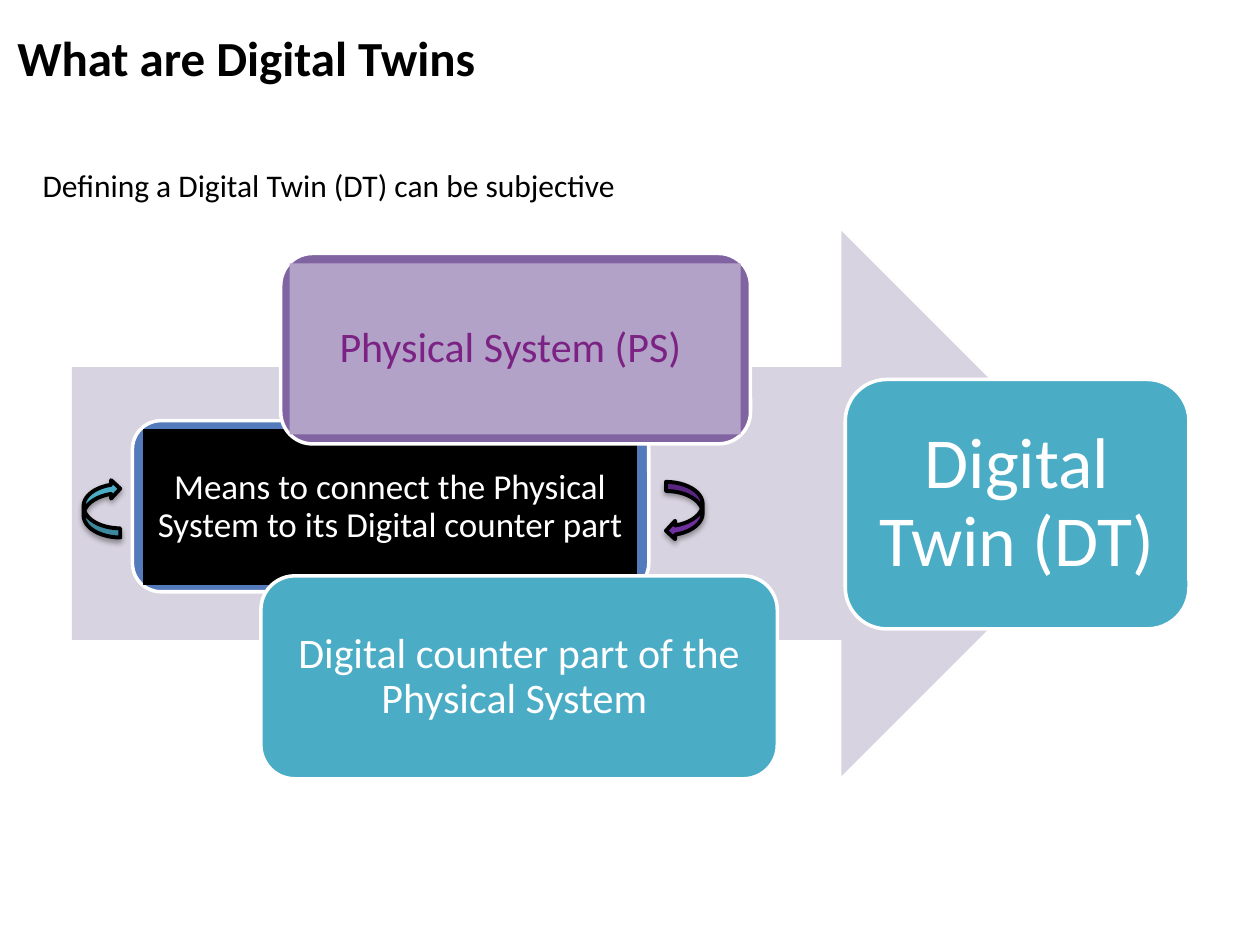
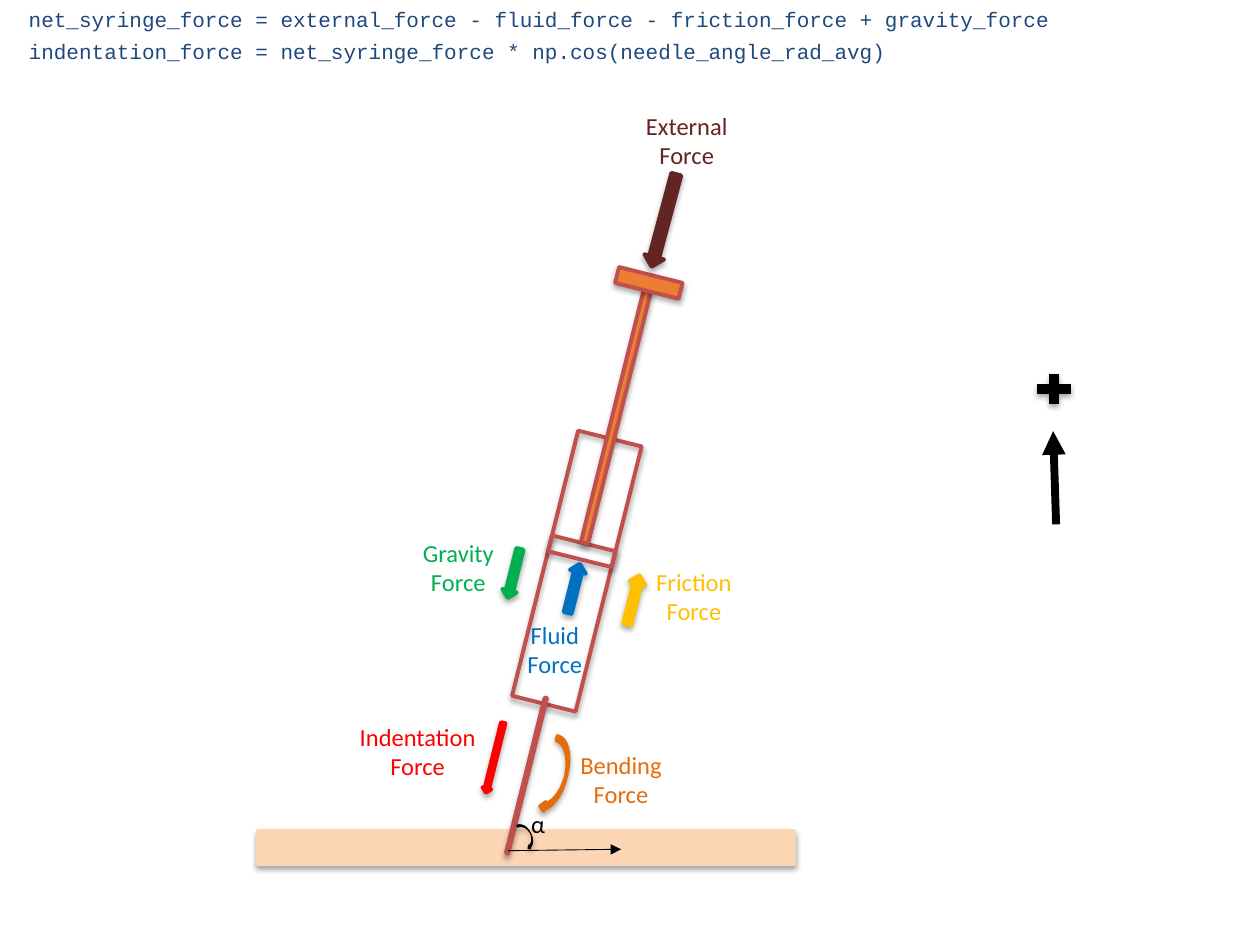
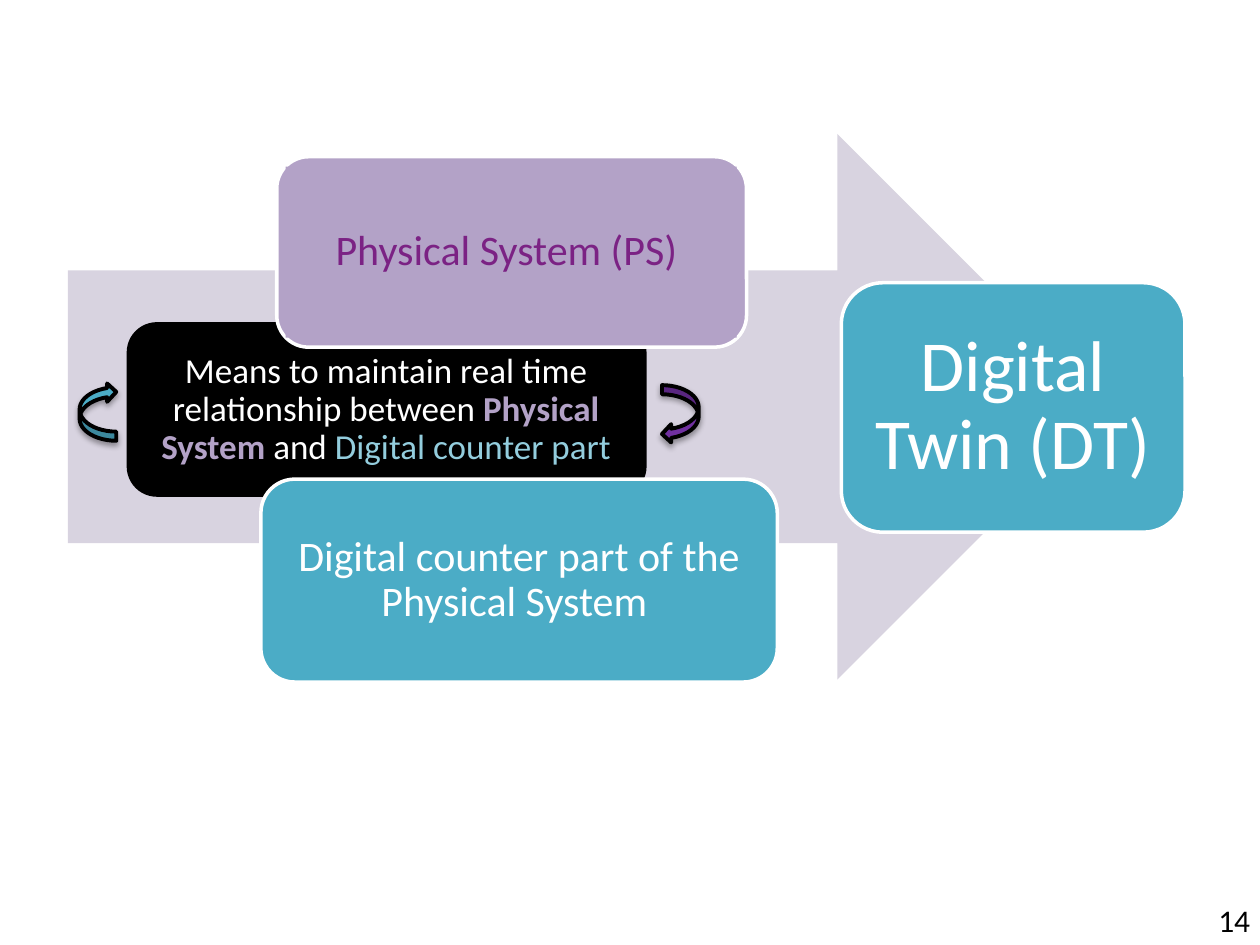
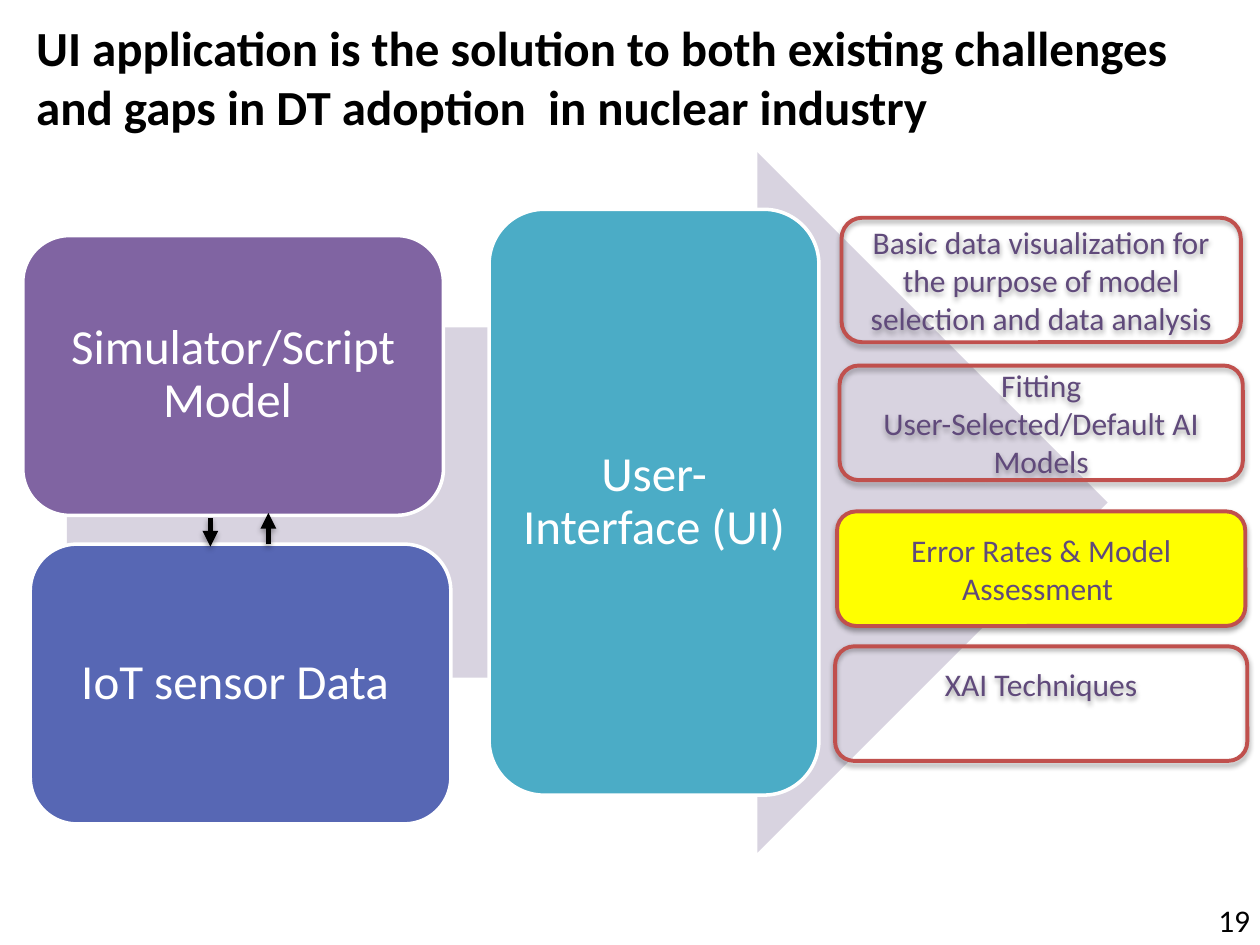
from lxml import etree
from pptx import Presentation
from pptx.dml.color import RGBColor
from pptx.enum import shapes, text
from pptx.oxml.ns import qn
from pptx.util import Cm, Pt

MSO = shapes.MSO_SHAPE
BLACK = RGBColor(0x00, 0x00, 0x00)
WHITE = RGBColor(0xFF, 0xFF, 0xFF)
NAVY = RGBColor(0x1F, 0x49, 0x7D)
BLUE = RGBColor(0x00, 0x70, 0xC0)
STEEL = RGBColor(0x53, 0x7A, 0xBA)
INDIGO = RGBColor(0x57, 0x67, 0xB4)
TEAL = RGBColor(0x4B, 0xAC, 0xC6)
SKY = RGBColor(0x93, 0xCD, 0xDD)
PURPLE = RGBColor(0x80, 0x64, 0xA2)
LILAC = RGBColor(0xB3, 0xA2, 0xC7)
PALE = RGBColor(0xD8, 0xD3, 0xE0)
PLUM = RGBColor(0x7B, 0x22, 0x84)
VIOLET = RGBColor(0x70, 0x30, 0xA0)
GRAPE = RGBColor(0x60, 0x4A, 0x7B)
BRICK = RGBColor(0xC0, 0x50, 0x4D)
MAROON = RGBColor(0x63, 0x25, 0x23)
RED = RGBColor(0xFF, 0x00, 0x00)
ORANGE = RGBColor(0xED, 0x7D, 0x31)
RUST = RGBColor(0xE4, 0x6C, 0x0A)
GOLD = RGBColor(0xFF, 0xC0, 0x00)
GREEN = RGBColor(0x00, 0xB0, 0x50)
SKIN = RGBColor(0xFC, 0xD5, 0xB5)
YELLOW = RGBColor(0xFF, 0xFF, 0x00)

BODY, CODE = "Calibri", "Courier New"
TILT = 14  # degrees the syringe leans

# All boxes are (left, top, width, height) in centimetres.
DEFINITION_LINK = "Means to connect the Physical System to its Digital counter part"
REALTIME_LINK = [
    ("Means to maintain real time relationship between ", WHITE, False),
    ("Physical System", LILAC, True),
    (" and ", WHITE, False),
    ("Digital counter part", SKY, False),
]

CODE_LINES = [
    ("net_syringe_force = external_force - fluid_force - friction_force + gravity_force",
     (0.33, 0, 22.83, 0.76)),
    ("indentation_force = net_syringe_force * np.cos(needle_angle_rad_avg)",
     (0.33, 0.66, 18.54, 0.76)),
]
# label, colour, label (left, top, width), arrow preset, arrow box, rotation
FORCES = [
    ("Fluid Force", BLUE, (10.13, 12.37, 2.11),
     MSO.DOWN_ARROW, (11.4, 11.35, 0.33, 1.02), TILT + 180),
    ("External Force", MAROON, (12.7, 2.11, 2.29),
     MSO.DOWN_ARROW, (13.18, 3.48, 0.41, 1.93), TILT + 1),
    ("Friction Force", GOLD, (12.9, 11.3, 2.18),
     MSO.DOWN_ARROW, (12.6, 11.58, 0.33, 1.02), TILT + 180),
    ("Gravity Force", GREEN, (8.15, 10.72, 2.18),
     MSO.DOWN_ARROW, (10.21, 11.05, 0.3, 1.02), TILT),
    ("Bending Force", RUST, (11.43, 14.99, 2.18),
     MSO.CURVED_LEFT_ARROW, (11.05, 14.86, 0.36, 1.55), TILT),
    ("Indentation Force", RED, (6.91, 14.43, 3.02),
     MSO.DOWN_ARROW, (9.88, 14.55, 0.18, 1.45), TILT),
]
SYRINGE = [
    ((10.97, 8.76, 1.32, 5.51), None),     # barrel
    ((11.07, 10.95, 1.32, 0.33), None),    # stopper
    ((12.34, 5.79, 0.15, 5.23), ORANGE),   # rod
    ((12.42, 5.54, 1.32, 0.33), ORANGE),   # thumb rest
]
NEEDLE = (10.59, 14.02, 0.05, 3.23)
SURFACE = (5.21, 16.76, 10.8, 0.66)

UI_TITLE = ("UI application is the solution to both existing challenges "
            "and gaps in DT adoption  in nuclear industry")
UI_BLOCKS = [
    ("Simulator/Script Model ", PURPLE, (0.46, 4.75, 8.48, 5.64)),
    ("IoT sensor Data ", INDIGO, (0.61, 10.97, 8.48, 5.64)),
    ("User-Interface (UI)", TEAL, (9.86, 4.22, 6.65, 11.81)),
]
OUTPUT_CENTRE = 20.99
# label, fill, top, width, height, bottom inset
OUTPUTS = [
    ("Basic data visualization for the purpose of model selection and data analysis",
     None, 4.39, 8.05, 2.51, 0.13),
    ("Fitting User-Selected/Default AI Models", None, 7.37, 8.13, 2.31, 0.13),
    ("Error Rates & Model Assessment ", YELLOW, 10.31, 8.23, 2.31, 0.13),
    ("XAI Techniques", None, 13.03, 8.31, 2.31, 0.9),
]


def add_shadow(sp):
    """Put a soft drop shadow in the shape's effect list."""
    effects = sp.element.spPr.find(qn("a:effectLst"))
    outer = etree.SubElement(effects, qn("a:outerShdw"), blurRad="40000",
                             dist="23000", dir="5400000", rotWithShape="0")
    colour = etree.SubElement(outer, qn("a:srgbClr"), val="000000")
    etree.SubElement(colour, qn("a:alpha"), val="35000")


def add_shape(s, preset, box, fill=None, line=None, width=2.25, rot=0, shadow=False):
    sp = s.shapes.add_shape(preset, *map(Cm, box))
    sp.rotation = rot
    sp.shadow.inherit = False
    if fill is None:
        sp.fill.background()
    else:
        sp.fill.solid()
        sp.fill.fore_color.rgb = fill
    if line is None:
        sp.line.fill.background()
    else:
        sp.line.color.rgb = line
        sp.line.width = Pt(width)
    if shadow:
        add_shadow(sp)
    return sp


def write(sp, words, size, colour=BLACK, bold=False, font=BODY, centre=False, spacing=None):
    """Fill a shape with one paragraph; words is a string or (text, colour, bold) runs."""
    tf = sp.text_frame
    tf.word_wrap = True
    p = tf.paragraphs[0]
    p.alignment = text.PP_ALIGN.CENTER if centre else text.PP_ALIGN.LEFT
    if spacing:
        p.line_spacing = spacing
    runs = [(words, colour, bold)] if isinstance(words, str) else words
    for words, colour, bold in runs:
        r = p.add_run()
        r.text = words
        r.font.name, r.font.size, r.font.bold = font, Pt(size), bold
        r.font.color.rgb = colour
    return tf


def add_text(s, box, words, size, **style):
    return write(s.shapes.add_textbox(*map(Cm, box)), words, size, **style)


def add_title(s, words, box):
    add_text(s, box, words, 28, bold=True)


def add_page_number(s, number):
    add_text(s, (24.31, 18.03, 1.17, 1.02), number, 18).word_wrap = False


def write_block(sp, words, size, inset, colour=WHITE):
    """Centre a block's label both ways, with equal insets."""
    tf = write(sp, words, size, colour, centre=True, spacing=0.9)
    tf.vertical_anchor = text.MSO_ANCHOR.MIDDLE
    tf.margin_left = tf.margin_right = tf.margin_top = tf.margin_bottom = Cm(inset)


def add_block(s, box, fill, line=WHITE):
    return add_shape(s, MSO.ROUNDED_RECTANGLE, box, fill, line, 2)


def add_arrow(s, start, end, width, shadow=False):
    c = s.shapes.add_connector(shapes.MSO_CONNECTOR.STRAIGHT, *map(Cm, start + end))
    c.line.color.rgb = BLACK
    c.line.width = Pt(width)
    spPr = c.element.spPr
    etree.SubElement(spPr.find(qn("a:ln")), qn("a:tailEnd"), type="triangle")
    etree.SubElement(spPr, qn("a:effectLst"))
    if shadow:
        add_shadow(c)


def add_twin_diagram(s, link, link_fill, link_line, physical_fill, dx=0, dy=0):
    """Draw the path from physical system to digital twin, moved by dx and dy."""
    def moved(left, top, width, height):
        return left + dx, top + dy, width, height

    add_shape(s, MSO.RIGHT_ARROW, moved(1.45, 4.65, 21.01, 11), PALE)
    add_block(s, moved(2.67, 8.48, 10.41, 3.45), link_fill, link_line)
    panel = add_shape(s, MSO.RECTANGLE, moved(2.9, 8.66, 9.93, 3.12), BLACK, BLACK, 0.75)
    write_block(panel, link, 20, 0.2)
    twin = add_block(s, moved(17.04, 7.65, 6.93, 5.03), TEAL)
    write_block(twin, "Digital Twin (DT)", 41, 0.43)
    for left, top, rot, fill in [(13.21, 9.93, 90, VIOLET), (1.47, 9.88, 270, TEAL)]:
        add_shape(s, MSO.CURVED_DOWN_ARROW, moved(left, top, 1.17, 0.74), fill, BLACK,
                  rot=rot, shadow=True)
    digital = add_block(s, (5.26, 11.61 + dy, 10.41, 4.09), TEAL)
    write_block(digital, "Digital counter part of the Physical System ", 24, 0.25)
    add_block(s, moved(5.66, 5.11, 9.47, 3.84), physical_fill)
    panel = add_shape(s, MSO.RECTANGLE, moved(5.84, 5.31, 9.09, 3.45), LILAC)
    write_block(panel, "Physical System (PS) ", 24, 0.25, PLUM)


def definition_slide(s):
    add_title(s, "What are Digital Twins", (0.1, 0.43, 25.2, 1.45))
    add_twin_diagram(s, DEFINITION_LINK, STEEL, WHITE, PURPLE)
    add_text(s, (0.61, 3.23, 12.83, 1.02),
             "Defining a Digital Twin (DT) can be subjective", 18)


def syringe_slide(s):
    for words, box in CODE_LINES:
        add_text(s, box, words, 12, colour=NAVY, font=CODE)
    for label, colour, place, *_ in FORCES:
        add_text(s, place + (1.45,), label, 14, colour=colour, centre=True)
    for box, fill in SYRINGE:
        add_shape(s, MSO.RECTANGLE, box, fill, BRICK, rot=TILT, shadow=True)
    for _, colour, _, preset, box, rot in FORCES:
        add_shape(s, preset, box, colour, colour, rot=rot, shadow=True)
    add_shape(s, MSO.RECTANGLE, SURFACE, SKIN, SKIN, shadow=True)
    add_shape(s, MSO.RECTANGLE, NEEDLE, ORANGE, BRICK, rot=TILT, shadow=True)
    # positive direction
    add_shape(s, MSO.MATH_PLUS, (20.8, 7.44, 0.89, 0.79), BLACK, BLACK, 0.5, shadow=True)
    add_arrow(s, (21.29, 10.57), (21.23, 8.69), 4.5)
    # needle angle
    add_shape(s, MSO.CURVED_DOWN_ARROW, (10.34, 16.76, 0.56, 0.18), BLACK, BLACK, 0.5,
              rot=64, shadow=True)
    add_arrow(s, (10.24, 17.15), (12.52, 17.12), 0.5)
    add_text(s, (10.46, 16.18, 0.97, 0.86), "α", 14)


def realtime_slide(s):
    add_twin_diagram(s, REALTIME_LINK, BLACK, BLACK, LILAC, dx=-0.08, dy=-1.95)
    add_page_number(s, "14")


def ui_slide(s):
    add_title(s, UI_TITLE, (0.48, 0.23, 24.69, 2.64))
    add_page_number(s, "19")
    add_shape(s, MSO.RIGHT_ARROW, (1.35, 3.07, 20.98, 14.12), PALE)
    for words, fill, box in UI_BLOCKS:
        write_block(add_block(s, box, fill), words, 28, 0.3)
    add_arrow(s, (4.24, 10.44), (4.24, 11.02), 3, shadow=True)
    add_arrow(s, (5.41, 10.97), (5.41, 10.34), 3, shadow=True)
    for words, fill, top, width, height, bottom in OUTPUTS:
        box = (OUTPUT_CENTRE - width / 2, top, width, height)
        sp = add_shape(s, MSO.ROUNDED_RECTANGLE, box, fill, BRICK, shadow=True)
        tf = write(sp, words, 18, GRAPE, centre=True)
        tf.vertical_anchor = text.MSO_ANCHOR.MIDDLE
        tf.margin_bottom = Cm(bottom)


def main():
    prs = Presentation()
    prs.slide_width, prs.slide_height = Cm(25.4), Cm(19.05)
    for build in (definition_slide, syringe_slide, realtime_slide, ui_slide):
        build(prs.slides.add_slide(prs.slide_layouts[6]))
    prs.save("out.pptx")


if __name__ == "__main__":
    main()
